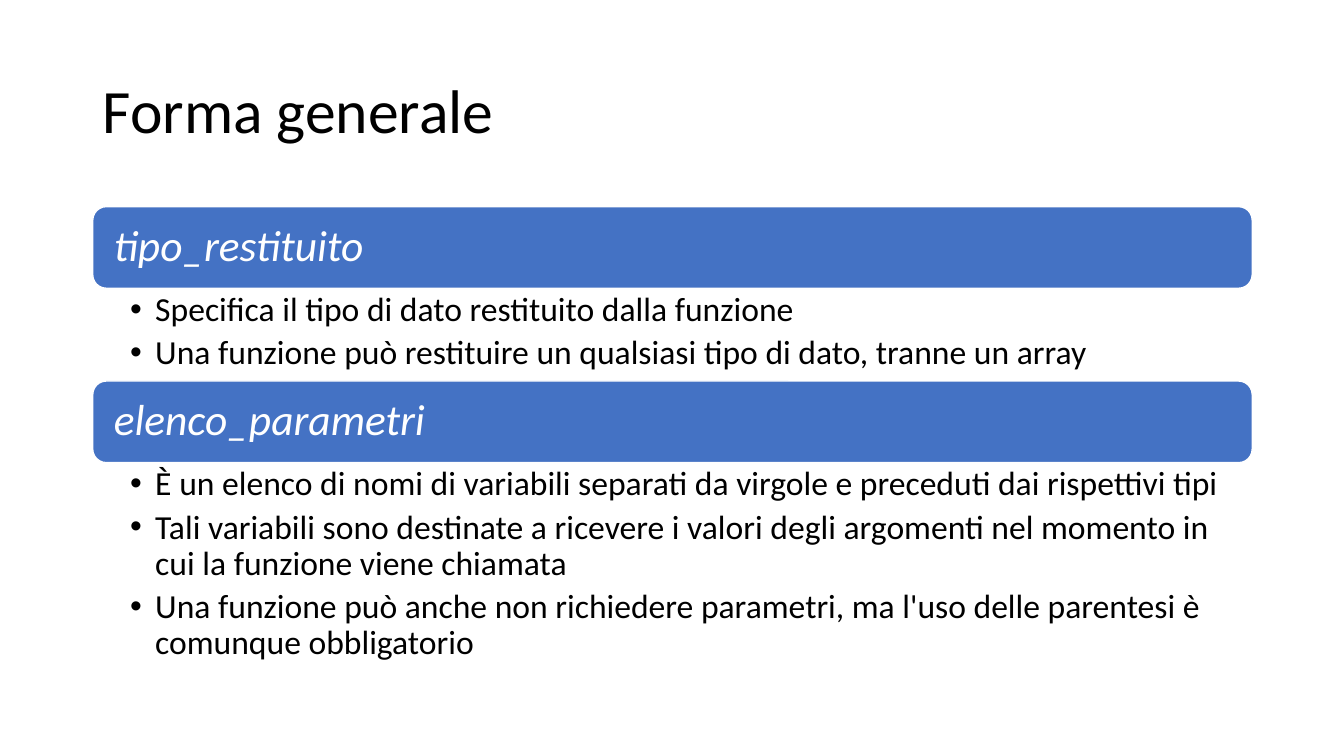
from lxml.etree import SubElement
from pptx import Presentation
from pptx.dml.color import RGBColor
from pptx.enum.shapes import MSO_SHAPE as Shape
from pptx.enum.text import MSO_ANCHOR as Anchor, PP_ALIGN as Align
from pptx.oxml.ns import qn
from pptx.util import Pt

BLACK = RGBColor(0x00, 0x00, 0x00)
WHITE = RGBColor(0xFF, 0xFF, 0xFF)
BLUE = RGBColor(0x44, 0x72, 0xC4)

EMU_PER_PX = 9144  # 100 px to the inch
LEFT, WIDTH = 92, 1150
FIRST_TOP, BAR_HEIGHT = 205, 81

# Heading, height of its list, list entries
SECTIONS = [
    ("tipo_restituito", 92, [
        "Specifica il tipo di dato restituito dalla funzione",
        "Una funzione può restituire un qualsiasi tipo di dato, tranne un array",
    ]),
    ("elenco_parametri", 211, [
        "È un elenco di nomi di variabili separati da virgole e preceduti dai rispettivi tipi",
        "Tali variabili sono destinate a ricevere i valori degli argomenti nel momento in "
        "cui la funzione viene chiamata",
        "Una funzione può anche non richiedere parametri, ma l'uso delle parentesi è "
        "comunque obbligatorio",
    ]),
]


def px(*lengths):
    return [length * EMU_PER_PX for length in lengths]


class SlideBuilder:
    font_name = "Calibri"

    def __init__(self, slide):
        self.slide = slide

    def set_frame(self, frame, anchor, insets):
        frame.word_wrap = True
        frame.vertical_anchor = anchor
        (frame.margin_left, frame.margin_top,
         frame.margin_right, frame.margin_bottom) = px(*insets)

    def set_text(self, paragraph, text, size, color, italic=False):
        paragraph.text = text
        paragraph.alignment = Align.LEFT
        paragraph.line_spacing = 0.9
        font = paragraph.font
        font.name, font.size, font.italic = self.font_name, Pt(size), italic
        font.color.rgb = color

    def title(self, text, box):
        heading = self.slide.shapes.title
        heading.left, heading.top, heading.width, heading.height = px(*box)
        self.set_frame(heading.text_frame, Anchor.MIDDLE, (10, 5, 10, 5))
        self.set_text(heading.text_frame.paragraphs[0], text, 44, BLACK)

    def bar(self, text, box):
        bar = self.slide.shapes.add_shape(Shape.ROUNDED_RECTANGLE, *px(*box))
        bar.shadow.inherit = False
        bar.fill.solid()
        bar.fill.fore_color.rgb = BLUE
        bar.line.color.rgb = WHITE
        bar.line.width = Pt(1)
        self.set_frame(bar.text_frame, Anchor.MIDDLE, (17, 13, 17, 13))
        self.set_text(bar.text_frame.paragraphs[0], text, 31, WHITE, italic=True)

    def bullets(self, entries, box):
        frame = self.slide.shapes.add_textbox(*px(*box)).text_frame
        self.set_frame(frame, Anchor.TOP, (37, 4, 24, 4))
        for index, entry in enumerate(entries):
            paragraph = frame.add_paragraph() if index else frame.paragraphs[0]
            paragraph.level = 1
            properties = paragraph._p.get_or_add_pPr()
            indent, = px(25)
            properties.set("marL", str(indent))
            properties.set("indent", str(-indent))
            SubElement(properties, qn("a:buFont"), typeface="Arial")
            SubElement(properties, qn("a:buChar"), char="•")
            paragraph.space_after = Pt(5)
            self.set_text(paragraph, entry, 24, BLACK)


def main():
    deck = Presentation()
    deck.slide_width, deck.slide_height = px(1333, 750)
    title_only = deck.slide_layouts[5]
    builder = SlideBuilder(deck.slides.add_slide(title_only))

    # Title
    builder.title("Forma generale", (LEFT, 40, WIDTH, 145))

    # Stacked sections: a heading bar, then its list
    top = FIRST_TOP
    for heading, list_height, entries in SECTIONS:
        builder.bar(heading, (LEFT, top, WIDTH, BAR_HEIGHT))
        top += BAR_HEIGHT
        builder.bullets(entries, (LEFT, top, WIDTH, list_height))
        top += list_height

    deck.save("out.pptx")


if __name__ == "__main__":
    main()
